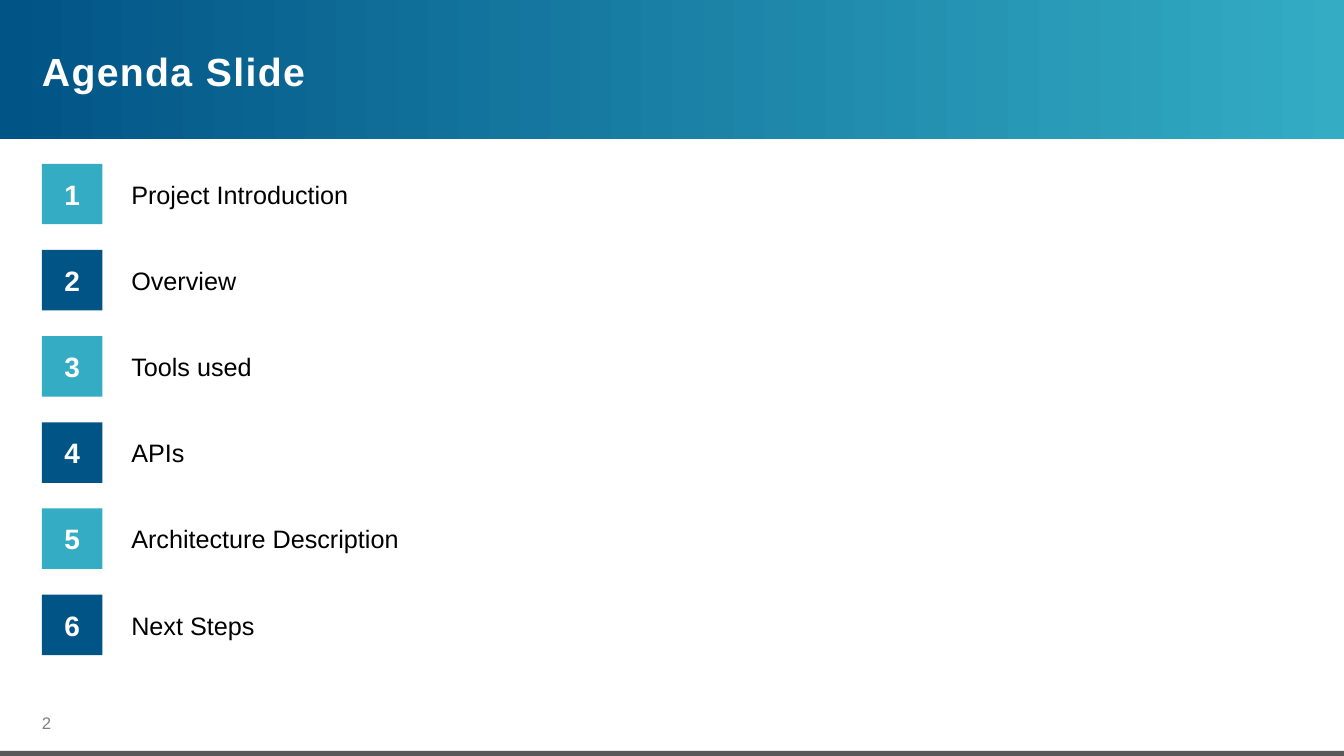
from dataclasses import dataclass

from pptx import Presentation
from pptx.dml.color import RGBColor
from pptx.enum import shapes, text
from pptx.util import Pt


@dataclass(frozen=True)
class Theme:
    font: str = "Arial"
    navy: str = "015486"
    teal: str = "33ACC4"
    white: str = "FFFFFF"
    black: str = "000000"
    gray: str = "808080"
    dark: str = "595959"
    title: int = 28
    badge: int = 20
    body: int = 18
    small: int = 12


THEME = Theme()
WIDTH, HEIGHT = 960, 540
LEFT = 30
TOPICS = [
    "Project Introduction",
    "Overview",
    "Tools used",
    "APIs",
    "Architecture Description",
    "Next Steps",
]


def rgb(color):
    return RGBColor.from_string(color)


def add_rect(slide, x, y, w, h, color):
    rect = slide.shapes.add_shape(
        shapes.MSO_SHAPE.RECTANGLE, Pt(x), Pt(y), Pt(w), Pt(h))
    rect.shadow.inherit = False
    rect.fill.solid()
    rect.fill.fore_color.rgb = rgb(color)
    rect.line.fill.background()
    return rect


def set_text(shape, words, size, color, bold=False, align=text.PP_ALIGN.LEFT):
    """Fill a shape with one line, centred in height, and return its paragraph."""
    frame = shape.text_frame
    frame.word_wrap = True
    frame.vertical_anchor = text.MSO_ANCHOR.MIDDLE
    frame.margin_left = frame.margin_right = 0
    frame.margin_top = frame.margin_bottom = 0
    para = frame.paragraphs[0]
    para.text = words
    para.alignment = align
    para.font.name = THEME.font
    para.font.size = Pt(size)
    para.font.bold = bold
    para.font.color.rgb = rgb(color)
    return para


def add_label(slide, x, y, w, h, words, size, color, bold=False):
    box = slide.shapes.add_textbox(Pt(x), Pt(y), Pt(w), Pt(h))
    return set_text(box, words, size, color, bold)


def add_banner(slide, title):
    band = add_rect(slide, 0, 0, WIDTH, 99.3, THEME.navy)
    band.fill.gradient()
    band.fill.gradient_angle = 0
    for stop, color in zip(band.fill.gradient_stops, (THEME.navy, THEME.teal)):
        stop.color.rgb = rgb(color)

    para = add_label(slide, LEFT, 18, 900, 72, title,
                     THEME.title, THEME.white, bold=True)
    para.line_spacing = 0.8
    # Letter spacing, in hundredths of a point
    para.runs[0]._r.get_or_add_rPr().set("spc", "100")


def add_topic(slide, number, words):
    side, pitch = 43.2, 61.56
    y = 117 + (number - 1) * pitch
    add_label(slide, 93.8, y, 836, side, words, THEME.body, THEME.black)

    color = THEME.teal if number % 2 else THEME.navy
    badge = add_rect(slide, LEFT, y, side, side, color)
    para = set_text(badge, str(number), THEME.badge, THEME.white,
                    bold=True, align=text.PP_ALIGN.CENTER)
    para.space_before = Pt(6)


def add_footer(slide, page):
    add_label(slide, LEFT, 495.3, 19.4, 41.8, page, THEME.small, THEME.gray)
    add_rect(slide, 0, 536.4, WIDTH, 3.6, THEME.dark)


def main():
    deck = Presentation()
    deck.slide_width, deck.slide_height = Pt(WIDTH), Pt(HEIGHT)
    slide = deck.slides.add_slide(deck.slide_layouts[6])

    # Header and footer
    add_banner(slide, "Agenda Slide")
    add_footer(slide, "2")

    # Numbered agenda
    for number, words in enumerate(TOPICS, 1):
        add_topic(slide, number, words)

    deck.save("out.pptx")


if __name__ == "__main__":
    main()
